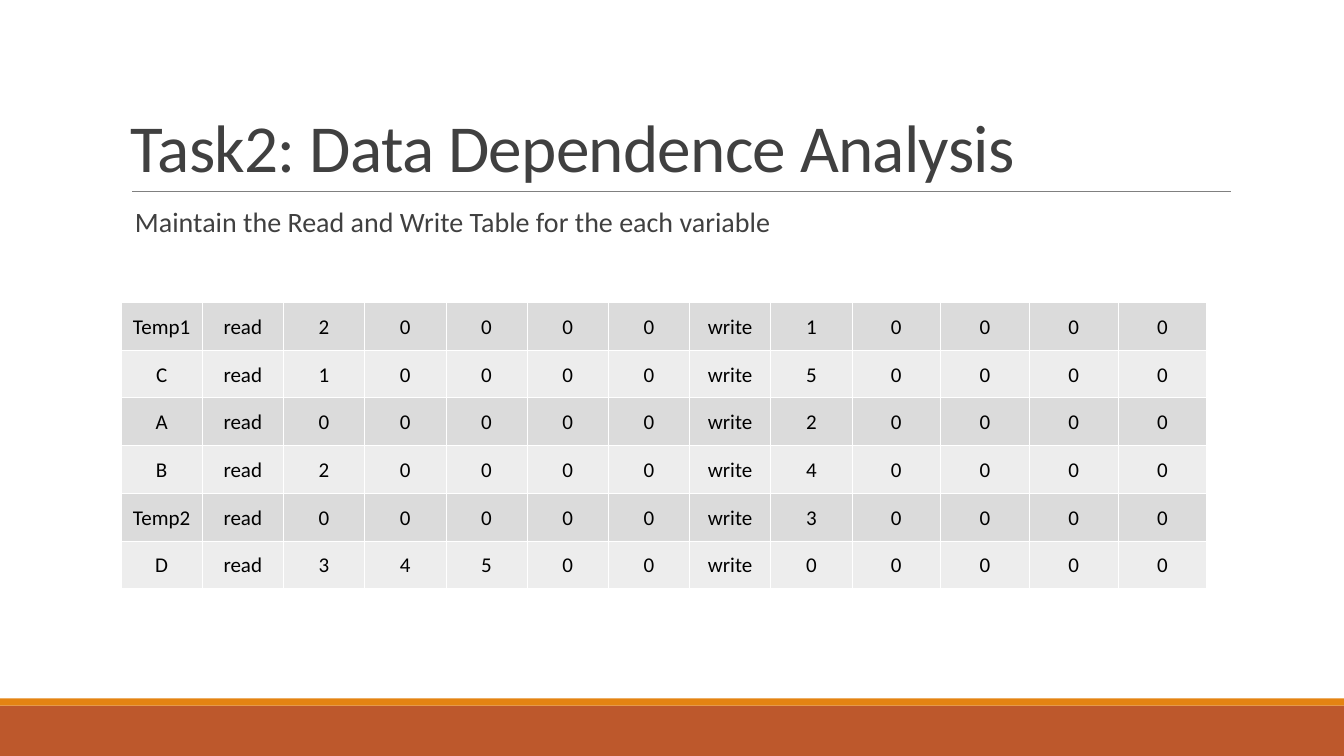
from dataclasses import dataclass

from pptx import Presentation
from pptx import util as u
from pptx.dml.color import RGBColor
from pptx.enum import shapes, text
from pptx.oxml import parse_xml
from pptx.oxml.ns import nsdecls, qn

FONT = "Calibri"
DARK_GRAY = "404040"
ORANGE = "E48312"
WHITE = "FFFFFF"


@dataclass
class Band:
    top: float
    height: float
    color: str


@dataclass
class TextBlock:
    words: str
    top: float
    height: float
    size: int
    line_spacing: float
    side_margin: float
    anchor: text.MSO_ANCHOR


@dataclass
class VariableRow:
    name: str
    reads: list[int]
    writes: list[int]

    def labels(self) -> list[str]:
        """Pad both statement lists with zeros to five slots each."""
        slots = [(values + [0] * 5)[:5] for values in (self.reads, self.writes)]
        return [self.name, "read", *map(str, slots[0]), "write", *map(str, slots[1])]


BANDS = [Band(7, 0.5, "BD582C"), Band(6.93, 0.07, ORANGE)]

TITLE = TextBlock("Task2: Data Dependence Analysis",
                  0.31, 1.59, 48, 0.85, 0.1, text.MSO_ANCHOR.BOTTOM)
BODY = TextBlock("Maintain the Read and Write Table for the each variable",
                 2.02, 4.4, 20, 0.9, 0, text.MSO_ANCHOR.TOP)

VARIABLES = [
    VariableRow("Temp1", [2], [1]),
    VariableRow("C", [1], [5]),
    VariableRow("A", [], [2]),
    VariableRow("B", [2], [4]),
    VariableRow("Temp2", [], [3]),
    VariableRow("D", [3, 4, 5], []),
]

TABLE_WIDTH = 10.77
WIDE_COLUMNS = 4
WIDE_COLUMN_WIDTH = 0.88
ROW_FILLS = ("DBDBDB", "EDEDED")


def rgb(color: str) -> RGBColor:
    return RGBColor.from_string(color)


def set_font(paragraph, size: int, color: str) -> None:
    paragraph.font.name = FONT
    paragraph.font.size = u.Pt(size)
    paragraph.font.color.rgb = rgb(color)


def add_band(page, band: Band, width: int) -> None:
    box = page.shapes.add_shape(shapes.MSO_SHAPE.RECTANGLE, 0, u.Inches(band.top),
                                width, u.Inches(band.height))
    box.shadow.inherit = False
    box.fill.solid()
    box.fill.fore_color.rgb = rgb(band.color)
    box.line.fill.background()


def add_rule(page) -> None:
    rule = page.shapes.add_connector(shapes.MSO_CONNECTOR.STRAIGHT, u.Inches(1.31),
                                     u.Inches(1.9), u.Inches(12.21), u.Inches(1.9))
    rule.line.color.rgb = rgb("808080")
    rule.line.width = u.Pt(0.5)
    properties = rule._element.find(qn("p:spPr"))
    properties.append(parse_xml(f"<a:effectLst {nsdecls('a')}/>"))


def add_text(page, block: TextBlock):
    box = page.shapes.add_textbox(u.Inches(1.2), u.Inches(block.top),
                                  u.Inches(11), u.Inches(block.height))
    frame = box.text_frame
    frame.word_wrap = True
    frame.vertical_anchor = block.anchor
    frame.margin_left = frame.margin_right = u.Inches(block.side_margin)
    paragraph = frame.paragraphs[0]
    paragraph.text = block.words
    paragraph.line_spacing = block.line_spacing
    set_font(paragraph, block.size, DARK_GRAY)
    return paragraph


def add_blank_bullet(paragraph) -> None:
    properties = paragraph._element.get_or_add_pPr()
    properties.set("marL", str(u.Inches(0.1)))
    properties.set("indent", str(-u.Inches(0.1)))
    color = f'<a:buClr {nsdecls("a")}><a:srgbClr val="{ORANGE}"/></a:buClr>'
    mark = f'<a:buChar {nsdecls("a")} char=" "/>'
    defaults = properties.find(qn("a:defRPr"))
    for bullet_part in (color, mark):
        defaults.addprevious(parse_xml(bullet_part))


def add_borders(cell) -> None:
    properties = cell._tc.get_or_add_tcPr()
    for index, edge in enumerate(("lnL", "lnR", "lnT", "lnB")):
        properties.insert(index, parse_xml(
            f'<a:{edge} {nsdecls("a")} w="{u.Pt(0.5)}"><a:solidFill>'
            f'<a:srgbClr val="{WHITE}"/></a:solidFill></a:{edge}>'))


def fill_cell(cell, label: str, color: str) -> None:
    cell.fill.solid()
    cell.fill.fore_color.rgb = rgb(color)
    cell.margin_left = cell.margin_right = cell.margin_top = u.Inches(0.02)
    cell.margin_bottom = 0
    cell.vertical_anchor = text.MSO_ANCHOR.MIDDLE
    paragraph = cell.text_frame.paragraphs[0]
    paragraph.text = label
    paragraph.alignment = text.PP_ALIGN.CENTER
    set_font(paragraph, 15, "000000")
    add_borders(cell)


def add_variable_table(page, variables: list[VariableRow]) -> None:
    column_count = len(variables[0].labels())
    table = page.shapes.add_table(len(variables), column_count, u.Inches(1.2), u.Inches(3),
                                  u.Inches(TABLE_WIDTH), u.Inches(2.84)).table
    table.first_row = table.horz_banding = False

    # The last columns are slightly wider; the rest share what remains
    narrow_count = column_count - WIDE_COLUMNS
    narrow_width = (TABLE_WIDTH - WIDE_COLUMNS * WIDE_COLUMN_WIDTH) / narrow_count
    for index, column in enumerate(table.columns):
        column.width = u.Inches(narrow_width if index < narrow_count else WIDE_COLUMN_WIDTH)

    for row, variable in enumerate(variables):
        for column, label in enumerate(variable.labels()):
            fill_cell(table.cell(row, column), label, ROW_FILLS[row % 2])


def main() -> None:
    deck = Presentation()
    deck.slide_width = u.Inches(13.33)
    deck.slide_height = u.Inches(7.5)
    page = deck.slides.add_slide(deck.slide_layouts[6])

    # Footer bands and title rule
    for band in BANDS:
        add_band(page, band, deck.slide_width)
    add_rule(page)

    # Title with tightened letters
    title = add_text(page, TITLE)
    title.runs[0].font._element.set("spc", "-50")

    # Body line
    body = add_text(page, BODY)
    body.space_before = u.Pt(12)
    body.space_after = u.Pt(2)
    add_blank_bullet(body)

    # Read and write table
    add_variable_table(page, VARIABLES)

    deck.save("out.pptx")


if __name__ == "__main__":
    main()
